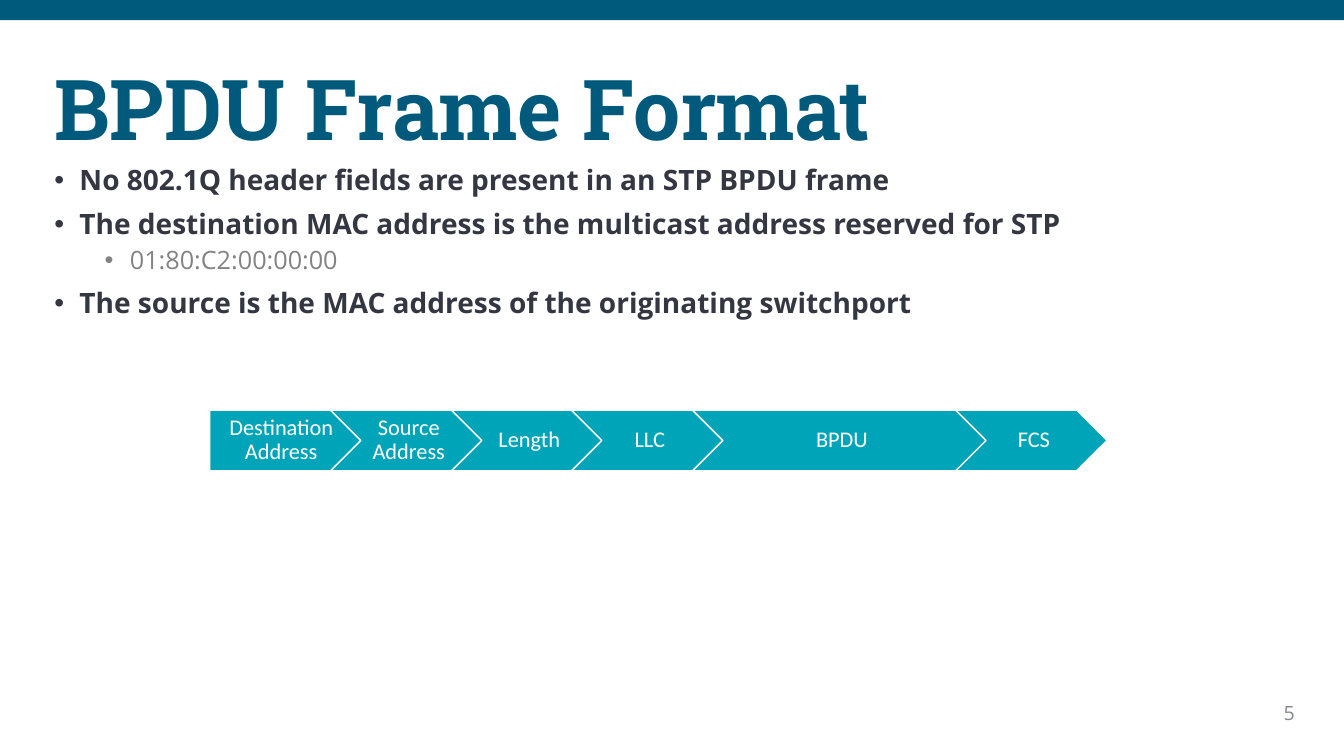
from pptx import Presentation
from pptx.dml.color import RGBColor
from pptx.enum.shapes import MSO_SHAPE
from pptx.enum.text import MSO_ANCHOR, PP_ALIGN
from pptx.oxml.ns import qn
from pptx.util import Pt
from lxml import etree

PX = 9144  # 100 px to the inch
RECT, PLATE, CHEVRON = MSO_SHAPE.RECTANGLE, MSO_SHAPE.PENTAGON, MSO_SHAPE.CHEVRON
MIDDLE, TOP = MSO_ANCHOR.MIDDLE, MSO_ANCHOR.TOP
LEFT, CENTER, RIGHT = PP_ALIGN.LEFT, PP_ALIGN.CENTER, PP_ALIGN.RIGHT
NAVY = RGBColor(0x00, 0x5A, 0x7C)
TITLE_BLUE = RGBColor(0x01, 0x5A, 0x7C)
TEAL = RGBColor(0x00, 0xA4, 0xB8)
WHITE = RGBColor(0xFF, 0xFF, 0xFF)
DARK = RGBColor(0x34, 0x37, 0x41)
GREY = RGBColor(0x83, 0x83, 0x83)
NUMBER_GREY = RGBColor(0x85, 0x88, 0x91)

prs = Presentation()
prs.slide_width, prs.slide_height = 1333 * PX, 750 * PX
s = prs.slides.add_slide(prs.slide_layouts[6])


def add_text(p, text, align, spacing, name, size, color, bold=False):
    p.alignment, p.line_spacing = align, spacing
    r = p.add_run()
    r.text = text
    for key, value in dict(name=name, size=Pt(size), bold=bold).items():
        setattr(r.font, key, value)
    r.font.color.rgb = color


def add_box(x, y, w, h, anchor):
    tf = s.shapes.add_textbox(x * PX, y * PX, w * PX, h * PX).text_frame
    tf.word_wrap, tf.vertical_anchor = True, anchor
    return tf


# Top band
band = s.shapes.add_shape(RECT, 0, 0, prs.slide_width, 20 * PX)
band.shadow.inherit = False
band.fill.solid()
band.fill.fore_color.rgb = NAVY
band.line.fill.background()

# Page number and title
tf = add_box(1230, 690, 64, 34, TOP)
add_text(tf.paragraphs[0], "5", RIGHT, 1.0, "Open Sans", 14, NUMBER_GREY)
tf = add_box(44, 40, 1273, 145, MIDDLE)
add_text(tf.paragraphs[0], "BPDU Frame Format", LEFT, 0.9, "Roboto Slab", 60, TITLE_BLUE, True)

# Bullets: level, text
bullets = [
    (0, "No 802.1Q header fields are present in an STP BPDU frame"),
    (0, "The destination MAC address is the multicast address reserved for STP"),
    (1, "01:80:C2:00:00:00"),
    (0, "The source is the MAC address of the originating switchport"),
]
# Level: size, colour, bold, space before, indent in px
levels = [(20, DARK, True, 10, 25), (18, GREY, False, 5, 75)]
tf = add_box(44, 160, 1236, 195, TOP)
for i, (level, text) in enumerate(bullets):
    size, color, bold, before, indent = levels[level]
    p = tf.add_paragraph() if i else tf.paragraphs[0]
    p.level, p.space_before = level, Pt(before)
    add_text(p, text, LEFT, 0.9, "Open Sans", size, color, bold)
    pPr = p._p.get_or_add_pPr()
    pPr.set("marL", str(indent * PX))
    pPr.set("indent", str(-25 * PX))
    etree.SubElement(pPr, qn("a:buFont")).set("typeface", "Arial")
    etree.SubElement(pPr, qn("a:buChar")).set("char", "•")

# Frame fields: each arrow overlaps the one before by its point
fields = [("Destination Address", 150), ("Source Address", 150), ("Length", 149),
          ("LLC", 150), ("BPDU", 291), ("FCS", 150)]
x, height, point = 208, 60, 30
for i, (label, width) in enumerate(fields):
    sp = s.shapes.add_shape(CHEVRON if i else PLATE, x * PX, 407 * PX, width * PX, height * PX)
    sp.shadow.inherit = False
    sp.fill.solid()
    sp.fill.fore_color.rgb = TEAL
    sp.line.color.rgb = WHITE
    sp.line.width = Pt(1)
    tf = sp.text_frame
    frame = dict(word_wrap=True, vertical_anchor=MIDDLE, margin_left=(7 if i else 9) * PX,
                 margin_right=2 * PX, margin_top=5 * PX, margin_bottom=5 * PX)
    for key, value in frame.items():
        setattr(tf, key, value)
    add_text(tf.paragraphs[0], label, CENTER, 0.9, "Calibri", 16, WHITE)
    x += width - point

prs.save("out.pptx")
